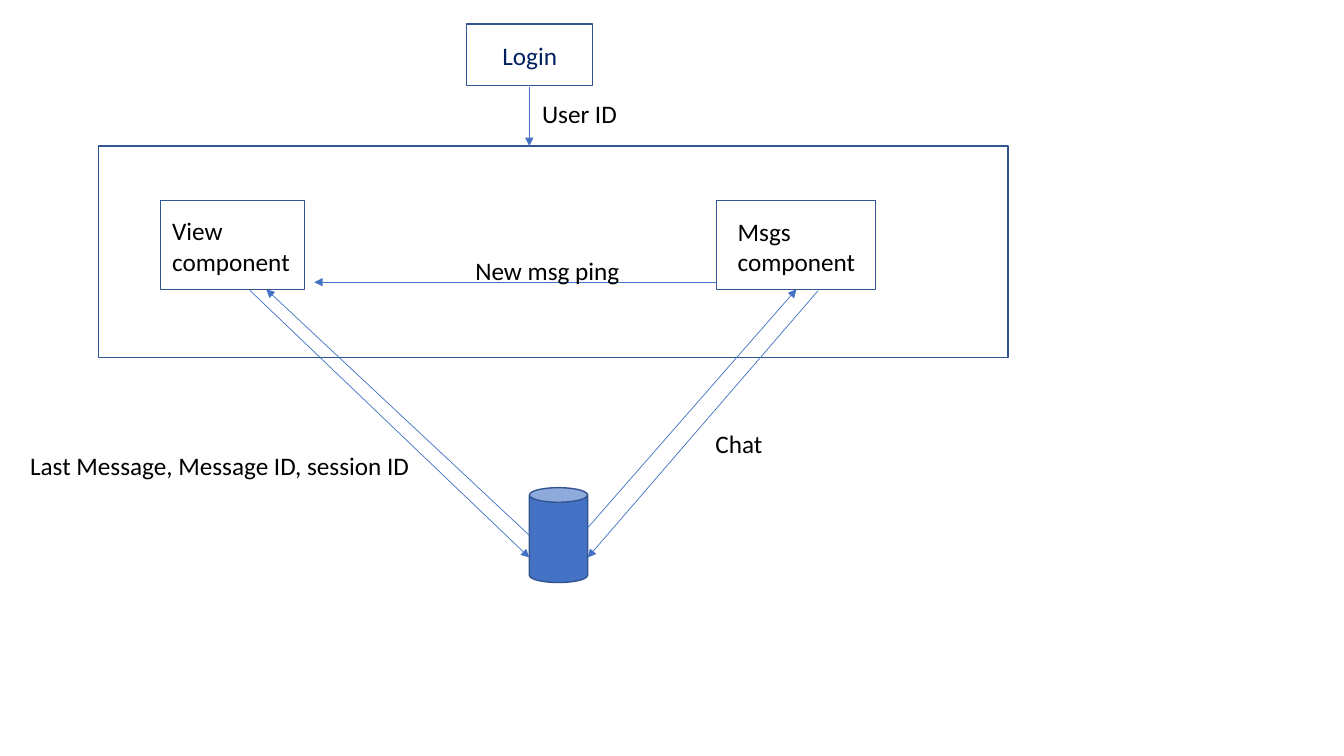
"""Build the slide showing how login, message components and the database connect."""
import pptx
import pptx.dml.color
import pptx.enum.shapes
import pptx.enum.text
import pptx.oxml
import pptx.oxml.ns
import pptx.util

Cm = pptx.util.Cm
Pt = pptx.util.Pt
SHAPES = pptx.enum.shapes.MSO_SHAPE
ALIGN = pptx.enum.text.PP_ALIGN
ANCHOR = pptx.enum.text.MSO_ANCHOR
OUTLINE = "325491"
ACCENT = "4472C4"
LABEL_HEIGHT = 1.02


def color(value):
    return pptx.dml.color.RGBColor.from_string(value)


def write(frame, text, size=18, ink="000000", align=ALIGN.LEFT, anchor=ANCHOR.TOP, wrap=True):
    frame.word_wrap = wrap
    frame.vertical_anchor = anchor
    para = frame.paragraphs[0]
    para.alignment = align
    span = para.add_run()
    span.text = text
    span.font.name = "Calibri"
    span.font.size = Pt(size)
    span.font.color.rgb = color(ink)


def add_box(shapes, left, top, width, height, kind=SHAPES.RECTANGLE, fill=None):
    box = shapes.add_shape(kind, Cm(left), Cm(top), Cm(width), Cm(height))
    box.shadow.inherit = False
    if fill:
        box.fill.solid()
        box.fill.fore_color.rgb = color(fill)
    else:
        box.fill.background()
    box.line.color.rgb = color(OUTLINE)
    box.line.width = Pt(1)
    return box


def add_label(shapes, text, left, top, width, height=LABEL_HEIGHT, wrap=False):
    label = shapes.add_textbox(Cm(left), Cm(top), Cm(width), Cm(height))
    write(label.text_frame, text, wrap=wrap)
    label.text_frame.auto_size = pptx.enum.text.MSO_AUTO_SIZE.SHAPE_TO_FIT_TEXT


def add_arrow(shapes, start, end):
    points = [Cm(value) for value in (*start, *end)]
    arrow = shapes.add_connector(pptx.enum.shapes.MSO_CONNECTOR.STRAIGHT, *points)
    arrow.line.color.rgb = color(ACCENT)
    arrow.line.width = Pt(0.5)
    head = pptx.oxml.parse_xml(f'<a:tailEnd {pptx.oxml.ns.nsdecls("a")} type="triangle"/>')
    arrow.line._get_or_add_ln().append(head)
    effects = pptx.oxml.parse_xml(f'<a:effectLst {pptx.oxml.ns.nsdecls("a")}/>')
    arrow._element.spPr.append(effects)


def add_component(page, text, left, width, text_left, text_top, text_width):
    group = page.shapes.add_group_shape()
    add_box(group.shapes, left, 5.05, width, 2.24)
    add_label(group.shapes, text, text_left, text_top, text_width, height=1.8, wrap=True)


def main():
    deck = pptx.Presentation()
    deck.slide_width, deck.slide_height = Cm(33.87), Cm(19.05)
    page = deck.slides.add_slide(deck.slide_layouts[6])
    shapes = page.shapes

    add_component(page, "View component", 4.04, 3.63, 4.09, 5.31, 3.58)
    add_component(page, "Msgs component", 18.06, 4.01, 18.34, 5.33, 3.63)
    add_box(shapes, 13.34, 12.29, 1.47, 2.39, kind=SHAPES.CAN, fill=ACCENT)
    login = add_box(shapes, 11.76, 0.61, 3.18, 1.55)
    write(login.text_frame, "Login", ink="002060", align=ALIGN.CENTER, anchor=ANCHOR.MIDDLE)
    add_box(shapes, 2.49, 3.68, 22.91, 5.33)

    for start, end in (
        ((13.34, 2.18), (13.34, 3.68)),
        ((14.6, 13.54), (20.07, 7.29)),
        ((13.34, 13.49), (6.71, 7.29)),
        ((20.62, 7.32), (14.81, 14.05)),
        ((6.3, 7.32), (13.34, 14.05)),
        ((18.06, 7.11), (7.92, 7.11)),
    ):
        add_arrow(shapes, start, end)

    for text, left, top, width in (
        ("Last Message, Message ID, session ID ", 0.51, 11.23, 10.31),
        ("User ID", 13.41, 2.36, 2.41),
        ("Chat", 17.78, 10.67, 1.7),
        ("New msg ping", 11.73, 6.3, 4.19),
    ):
        add_label(shapes, text, left, top, width)

    deck.save("out.pptx")


main()
